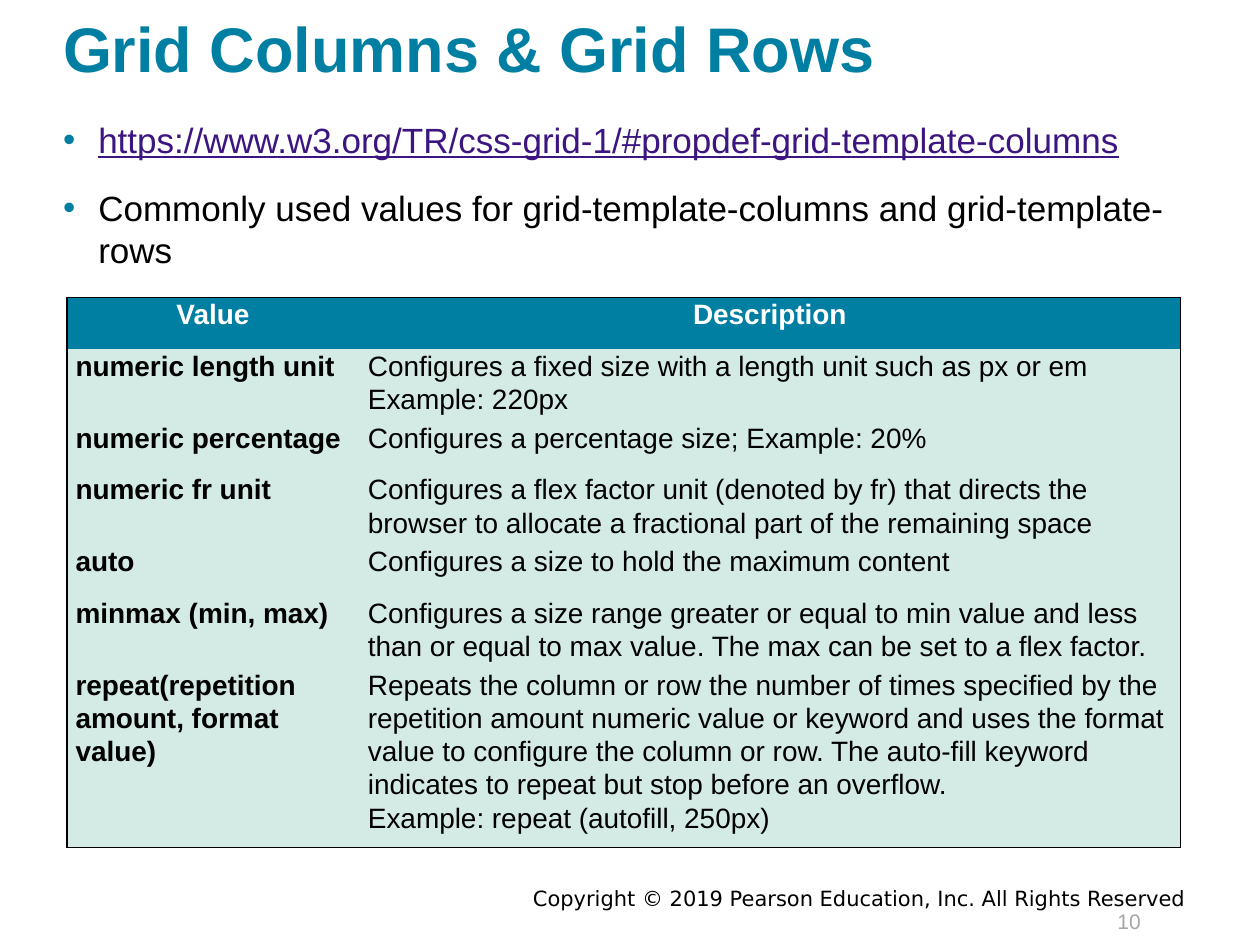
from dataclasses import dataclass
from lxml.etree import SubElement
from pptx import Presentation
from pptx.dml.color import RGBColor
from pptx.enum.text import MSO_ANCHOR, MSO_AUTO_SIZE, PP_ALIGN
from pptx.oxml.ns import qn
from pptx.util import Inches, Pt


@dataclass(frozen=True)
class Theme:
    teal: str = "007FA3"
    mint: str = "D4EAE4"
    link: str = "3C1581"
    gray: str = "A6A6A6"
    black: str = "000000"
    white: str = "FFFFFF"
    font: str = "Arial"
    mono: str = "DejaVu Sans"
    head: int = 36
    body: int = 20
    cell: int = 16
    foot: int = 12


look = Theme()
WIDE, HIGH = Inches(10), Inches(7.5)
NO_STYLE = "{2D5ABB26-0587-4C30-8999-92F81FD0307C}"

POINTS = [
    ("https://www.w3.org/TR/css-grid-1/#propdef-grid-template-columns", look.link, True),
    ("Commonly used values for grid-template-columns and grid-template-rows",
     look.black, False),
]
# Each row: height in inches, value, description (\v breaks a line)
ROWS = [
    (0.41, "Value", "Description"),
    (0.56, "numeric length unit",
     "Configures a fixed size with a length unit such as px or em\vExample: 220px"),
    (0.41, "numeric percentage", "Configures a percentage size; Example: 20%"),
    (0.56, "numeric fr unit",
     "Configures a flex factor unit (denoted by fr) that directs the browser "
     "to allocate a fractional part of the remaining space"),
    (0.41, "auto", "Configures a size to hold the maximum content"),
    (0.56, "minmax (min, max)",
     "Configures a size range greater or equal to min value and less than or "
     "equal to max value. The max can be set to a flex factor."),
    (1.4, "repeat(repetition amount, format value)",
     "Repeats the column or row the number of times specified by the repetition "
     "amount numeric value or keyword and uses the format value to configure the "
     "column or row. The auto-fill keyword indicates to repeat but stop before "
     "an overflow.\vExample: repeat (autofill, 250px)"),
]


def area(x, y, w, h):
    """Turn percentages of the slide into a box."""
    return (int(WIDE * x / 100), int(HIGH * y / 100),
            int(WIDE * w / 100), int(HIGH * h / 100))


def style(para, size, color, bold=False, line=False, face=look.font):
    font = para.font
    font.name, font.size, font.bold, font.underline = face, Pt(size), bold, line
    font.color.rgb = RGBColor.from_string(color)


def place(shape, box):
    """Move a placeholder into its box and clear its margins."""
    shape.left, shape.top, shape.width, shape.height = box
    frame = shape.text_frame
    frame.margin_left = frame.margin_right = 0
    frame.margin_top = frame.margin_bottom = 0
    frame.word_wrap = True
    frame.auto_size = MSO_AUTO_SIZE.SHAPE_TO_FIT_TEXT
    return frame


def add_title(slide, box):
    frame = place(slide.shapes.title, box)
    frame.vertical_anchor = MSO_ANCHOR.BOTTOM
    frame.text = "Grid Columns & Grid Rows"
    para = frame.paragraphs[0]
    para.alignment = PP_ALIGN.LEFT
    style(para, look.head, look.teal, bold=True)


def add_list(slide, box):
    frame = place(slide.placeholders[1], box)
    frame.vertical_anchor = MSO_ANCHOR.TOP
    frame.text = "\n".join(text for text, _, _ in POINTS)
    for num, (para, (_, color, line)) in enumerate(zip(frame.paragraphs, POINTS)):
        para.space_before = Pt(15 if num else 0)
        props = para._p.get_or_add_pPr()
        props.set("marL", str(Inches(0.28)))
        props.set("indent", str(-Inches(0.28)))
        SubElement(SubElement(props, qn("a:buClr")), qn("a:srgbClr"), val=look.teal)
        SubElement(props, qn("a:buFont"), typeface=look.font)
        SubElement(props, qn("a:buChar"), char="•")
        style(para, look.body, color, line=line)


def edge(cell, sides):
    """Draw the wanted sides of a cell, in the order L, R, T, B."""
    props = cell._tc.get_or_add_tcPr()
    for side in sides:
        line = SubElement(props, qn(f"a:ln{side}"), w=str(Pt(1)))
        fill = SubElement(line, qn("a:solidFill"))
        SubElement(fill, qn("a:srgbClr"), val=look.black)


def add_grid(slide, box):
    grid = slide.shapes.add_table(len(ROWS), 2, *box).table
    grid._tbl.tblPr.find(qn("a:tableStyleId")).text = NO_STYLE
    grid.horz_banding = False
    first = int(box[2] * 0.2625)
    grid.columns[0].width, grid.columns[1].width = first, box[2] - first
    for row, (high, *texts) in enumerate(ROWS):
        grid.rows[row].height = Inches(high)
        top, last = row == 0, row == len(ROWS) - 1
        for col, text in enumerate(texts):
            cell = grid.cell(row, col)
            edge(cell, "LR"[col] + "T" * top + "B" * last)
            cell.fill.solid()
            cell.fill.fore_color.rgb = RGBColor.from_string(
                look.teal if top else look.mint)
            cell.margin_left = cell.margin_right = Inches(0.07)
            cell.margin_top = cell.margin_bottom = 0
            cell.text = text
            para = cell.text_frame.paragraphs[0]
            para.line_spacing = 1.07
            para.alignment = PP_ALIGN.CENTER if top else PP_ALIGN.LEFT
            style(para, look.cell, look.white if top else look.black,
                  bold=top or col == 0)


def add_note(slide, box, text, color, face, align, wrap):
    frame = slide.shapes.add_textbox(*box).text_frame
    frame.word_wrap = wrap
    frame.auto_size = MSO_AUTO_SIZE.SHAPE_TO_FIT_TEXT
    frame.text = text
    para = frame.paragraphs[0]
    para.alignment = align
    style(para, look.foot, color, face=face)


def main():
    deck = Presentation()
    deck.slide_width, deck.slide_height = WIDE, HIGH
    slide = deck.slides.add_slide(deck.slide_layouts[1])
    # Footer: copyright line and page number
    add_note(slide, area(16.8, 93.07, 78.3, 4),
             "Copyright © 2019 Pearson Education, Inc. All Rights Reserved",
             look.black, look.mono, PP_ALIGN.RIGHT, True)
    add_note(slide, area(87.7, 95.47, 4.1, 4), "10",
             look.gray, look.font, PP_ALIGN.LEFT, False)
    # Heading, bullets and table of values
    add_title(slide, area(5, 0.93, 89.2, 8.13))
    add_list(slide, area(5, 12.53, 89.2, 16.27))
    add_grid(slide, area(5.3, 31.47, 88.4, 58.27))
    deck.save("out.pptx")


if __name__ == "__main__":
    main()
